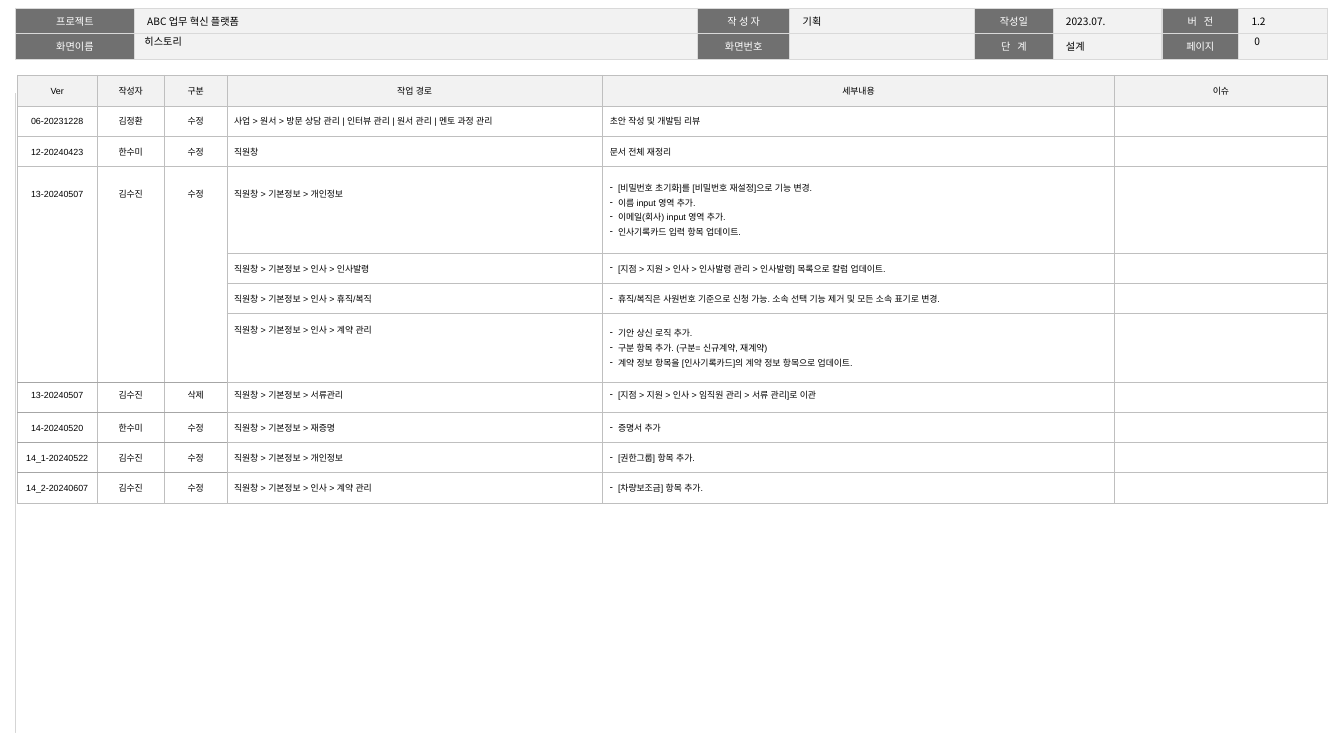
from pptx import Presentation
from pptx import util as u
from pptx.dml.color import RGBColor
from pptx.enum import shapes, text
from pptx.oxml.ns import qn
from lxml import etree

WIDTH, HEIGHT = 14.7, 8.27
COLORS = {"label": "707070", "pale": "F2F2F2", "white": "FFFFFF", "black": "000000",
          "header_line": "D9D9D9", "grid": "BFBFBF", "dark_grid": "A6A6A6"}
KOREAN, LATIN = "Noto Sans CJK KR", "Arial"

PROJECT_COLUMNS = [1.3, 6.16, 1.01, 2.02, 0.86, 1.19, 0.84, 0.97]
PROJECT_ROWS = [
    ["프로젝트", "ABC 업무 혁신 플랫폼", "작 성 자", "기획", "작성일", "2023.07.", "버   전", "1.2"],
    ["화면이름", "", "화면번호", "", "단   계", "설계", "페이지", ""],
]

HISTORY_COLUMNS = [0.87, 0.74, 0.68, 4.11, 5.6, 2.33]
HISTORY_HEADS = ["Ver", "작성자", "구분", "작업 경로", "세부내용", "이슈"]
STAFF = "직원창 > 기본정보 > "
HISTORY = [
    ["06-20231228", "김정환", "수정",
     "사업 > 원서 > 방문 상담 관리 | 인터뷰 관리 | 원서 관리 | 멘토 과정 관리", "초안 작성 및 개발팀 리뷰"],
    ["12-20240423", "한수미", "수정", "직원창", "문서 전체 재정리"],
    ["13-20240507", "김수진", "수정", STAFF + "개인정보",
     ["[비밀번호 초기화]를 [비밀번호 재설정]으로 기능 변경.", "이름 input 영역 추가.",
      "이메일(회사) input 영역 추가.", "인사기록카드 입력 항목 업데이트."]],
    ["", "", "", STAFF + "인사 > 인사발령",
     ["[지점 > 지원 > 인사 > 인사발령 관리 > 인사발령] 목록으로 칼럼 업데이트."]],
    ["", "", "", STAFF + "인사 > 휴직/복직",
     ["휴직/복직은 사원번호 기준으로 신청 가능. 소속 선택 기능 제거 및 모든 소속 표기로 변경."]],
    ["", "", "", STAFF + "인사 > 계약 관리",
     ["기안 상신 로직 추가.", "구분 항목 추가. (구분= 신규계약, 재계약)",
      "계약 정보 항목을 [인사기록카드]의 계약 정보 항목으로 업데이트."]],
    ["13-20240507", "김수진", "삭제", STAFF + "서류관리",
     ["[지점 > 지원 > 인사 > 임직원 관리 > 서류 관리]로 이관"]],
    ["14-20240520", "한수미", "수정", STAFF + "재증명", ["증명서 추가"]],
    ["14_1-20240522", "김수진", "수정", STAFF + "개인정보", ["[권한그룹] 항목 추가."]],
    ["14_2-20240607", "김수진", "수정", STAFF + "인사 > 계약 관리", ["[차량보조금] 항목 추가."]],
]
HISTORY_HEIGHTS = [0.34, 0.33, 0.33, 0.95, 0.33, 0.33, 0.75] + [0.33] * 4
# Horizontal rules of the first three columns: one open block, then darker rules
LEFT_RULES = ["grid"] * 4 + [None] * 3 + ["dark_grid"] * 4 + ["grid"]
RAISED_ROWS = {3: 0.44, 6: 0.48}  # bottom margins that lift the text of tall rows


def rgb(name):
    return RGBColor.from_string(COLORS[name])


def format_paragraph(paragraph, size, font, color="black", spacing=None, align=None, bullet=False):
    if align is not None:
        paragraph.alignment = align
    if spacing:
        paragraph.line_spacing = spacing
    if bullet:
        properties = paragraph._p.get_or_add_pPr()
        properties.set("marL", str(u.Inches(0.09)))
        properties.set("indent", str(-u.Inches(0.09)))
        etree.SubElement(properties, qn("a:buChar")).set("char", "-")
    for run in paragraph.runs:
        run.font.size = u.Pt(size)
        run.font.name = font
        run.font.color.rgb = rgb(color)
        etree.SubElement(run._r.get_or_add_rPr(), qn("a:ea")).set("typeface", font)
    if not paragraph.runs:
        etree.SubElement(paragraph._p, qn("a:endParaRPr")).set("sz", str(size * 100))


def set_borders(cell, width, left, right, top, bottom):
    properties = cell._tc.get_or_add_tcPr()
    for side, color in zip("LRTB", (left, right, top, bottom)):
        line = etree.SubElement(properties, qn("a:ln" + side), w=str(u.Pt(width)))
        if color is None:
            etree.SubElement(line, qn("a:noFill"))
        else:
            fill = etree.SubElement(line, qn("a:solidFill"))
            etree.SubElement(fill, qn("a:srgbClr")).set("val", COLORS[color])


def fill_cell(cell, content, fill, margins, anchor, **style):
    """Write a string, or a list of strings as dashed items."""
    bullet = isinstance(content, list)
    cell.fill.solid()
    cell.fill.fore_color.rgb = rgb(fill)
    cell.margin_left = cell.margin_right = u.Inches(margins[0])
    cell.margin_top, cell.margin_bottom = u.Inches(margins[1]), u.Inches(margins[2])
    cell.vertical_anchor = anchor
    cell.text_frame.text = "\n".join(content) if bullet else content
    for paragraph in cell.text_frame.paragraphs:
        format_paragraph(paragraph, bullet=bullet, **style)


def add_grid(slide, left, top, columns, rows):
    frame = slide.shapes.add_table(len(rows), len(columns), u.Inches(left), u.Inches(top),
                                   u.Inches(sum(columns)), u.Inches(sum(rows)))
    table = frame.table
    table.first_row = table.horz_banding = False
    for column, width in zip(table.columns, columns):
        column.width = u.Inches(width)
    for row, height in zip(table.rows, rows):
        row.height = u.Inches(height)
    return table


def add_project_header(slide, left, top):
    table = add_grid(slide, left, top, PROJECT_COLUMNS, [0.28, 0.28])
    for i, row in enumerate(PROJECT_ROWS):
        for j, content in enumerate(row):
            is_label = j % 2 == 0
            cell = table.cell(i, j)
            set_borders(cell, 1, *["header_line"] * 4)
            fill_cell(cell, content, "label" if is_label else "pale", (0.14, 0.05, 0.05),
                      text.MSO_ANCHOR.TOP, size=8, font=KOREAN, spacing=1.05,
                      color="white" if is_label else "black",
                      align=text.PP_ALIGN.CENTER if is_label else None)


def add_history(slide, left, top):
    table = add_grid(slide, left, top, HISTORY_COLUMNS, HISTORY_HEIGHTS)
    for i, row in enumerate([HISTORY_HEADS] + [entry + [""] for entry in HISTORY]):
        for j, content in enumerate(row):
            cell = table.cell(i, j)
            rules = LEFT_RULES[i:i + 2] if j < 3 else ["grid"] * 2
            set_borders(cell, 0.25, "grid", "grid", *rules)
            bottom = RAISED_ROWS.get(i, 0.08) if j < 4 else 0.08
            centred = i == 0 or j < 3
            fill_cell(cell, content, "white" if i else "pale", (0.08, 0.04, bottom),
                      text.MSO_ANCHOR.TOP if i == 7 else text.MSO_ANCHOR.MIDDLE,
                      size=7, font=LATIN, spacing=1.5,
                      align=text.PP_ALIGN.CENTER if centred else None)


def place_label(shape, left, top, width, height, content):
    shape.left, shape.top = u.Inches(left), u.Inches(top)
    shape.width, shape.height = u.Inches(width), u.Inches(height)
    frame = shape.text_frame
    frame.text = content
    frame.word_wrap = True
    frame.auto_size = text.MSO_AUTO_SIZE.NONE
    frame.vertical_anchor = text.MSO_ANCHOR.MIDDLE
    frame.margin_left = frame.margin_right = u.Inches(0.11)
    frame.margin_top = frame.margin_bottom = u.Inches(0.05)
    format_paragraph(frame.paragraphs[0], 8, KOREAN, align=text.PP_ALIGN.LEFT)


def add_panel(slide, left, top, width, height, line=None):
    panel = slide.shapes.add_shape(shapes.MSO_SHAPE.RECTANGLE, u.Inches(left), u.Inches(top),
                                   u.Inches(width), u.Inches(height))
    panel.shadow.inherit = False
    panel.fill.solid()
    panel.fill.fore_color.rgb = rgb("white")
    if line:
        panel.line.color.rgb = rgb(line)
        panel.line.width = u.Pt(0.75)
    else:
        panel.line.fill.background()


def main():
    presentation = Presentation()
    presentation.slide_width, presentation.slide_height = u.Inches(WIDTH), u.Inches(HEIGHT)
    slide = presentation.slides.add_slide(presentation.slide_layouts[5])
    add_panel(slide, 0.17, 1.02, 12.4, 6.99, line="grid")
    add_project_header(slide, 0.17, 0.09)
    add_panel(slide, 0.17, 0.71, 12.54, 7.44)
    title = slide.shapes.title
    slide.shapes.element.append(title.element)  # in front of the header table
    place_label(title, 1.47, 0.37, 3.85, 0.16, "히스토리")
    page_number = slide.shapes.add_textbox(0, 0, 0, 0)
    place_label(page_number, 13.61, 0.37, 0.72, 0.16, "0")
    add_history(slide, 0.19, 0.82)
    presentation.save("out.pptx")


if __name__ == "__main__":
    main()
